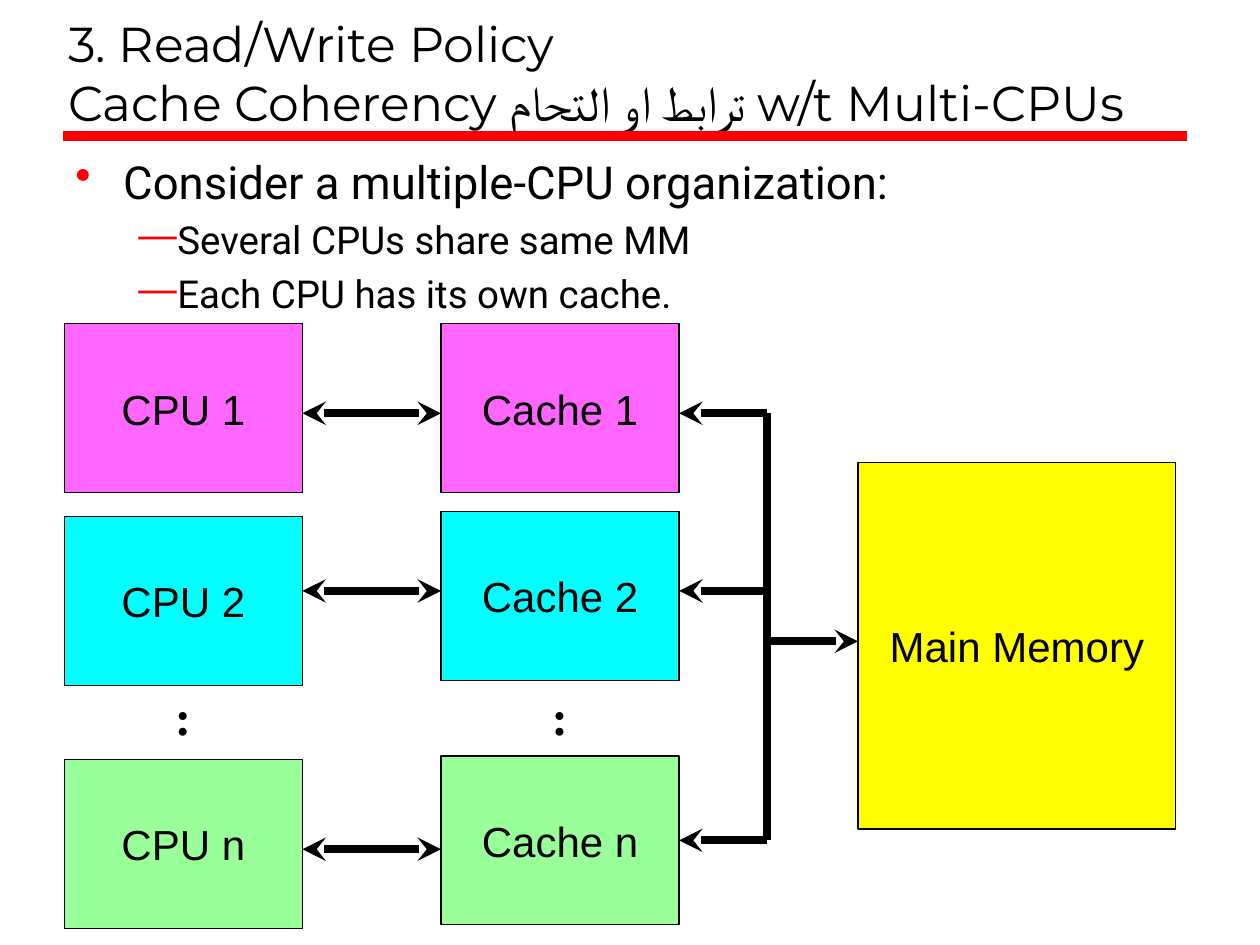
from lxml.etree import SubElement
from pptx import Presentation
from pptx.dml.color import RGBColor
from pptx.enum.shapes import MSO_CONNECTOR, MSO_SHAPE
from pptx.enum.text import MSO_ANCHOR, MSO_AUTO_SIZE, PP_ALIGN
from pptx.oxml.ns import qn
from pptx.util import Inches, Pt

COLORS = {
    "black": "000000",
    "red": "FF0000",
    "pink": "FF66FF",
    "cyan": "00FFFF",
    "green": "99FF99",
    "yellow": "FFFF00",
}


def color(name):
    return RGBColor.from_string(COLORS[name])


def write(paragraph, text, font="Arial", size=24, bold=False,
          align=PP_ALIGN.LEFT, before=0):
    paragraph.text = text
    paragraph.alignment = align
    paragraph.space_before = Pt(before)
    for run in paragraph.runs:
        run.font.name = font
        run.font.size = Pt(size)
        run.font.bold = bold
        run.font.color.rgb = color("black")


def add_bullet(paragraph, character, left, hanging):
    properties = paragraph._p.get_or_add_pPr()
    properties.set("marL", str(Inches(left)))
    properties.set("indent", str(-Inches(hanging)))
    bullet_color = SubElement(properties, qn("a:buClr"))
    SubElement(bullet_color, qn("a:srgbClr"), val=COLORS["red"])
    SubElement(properties, qn("a:buChar"), char=character)


class SlideBuilder:
    heading_font = "Montserrat"
    body_font = "Roboto"
    arrow_width = 4.5

    def __init__(self, presentation):
        self.slide = presentation.slides.add_slide(presentation.slide_layouts[5])

    def title(self, text, left, top, width, height):
        shape = self.slide.shapes.title
        shape.left, shape.top = Inches(left), Inches(top)
        shape.width, shape.height = Inches(width), Inches(height)
        frame = shape.text_frame
        frame.auto_size = MSO_AUTO_SIZE.NONE
        frame.vertical_anchor = MSO_ANCHOR.BOTTOM
        write(frame.paragraphs[0], text, font=self.heading_font, size=28)

    def text_box(self, left, top, width, height, wrap=True):
        shape = self.slide.shapes.add_textbox(
            Inches(left), Inches(top), Inches(width), Inches(height))
        shape.text_frame.word_wrap = wrap
        return shape.text_frame

    def bullets(self, items, left, top, width, height):
        frame = self.text_box(left, top, width, height)
        for index, (text, level) in enumerate(items):
            paragraph = frame.add_paragraph() if index else frame.paragraphs[0]
            paragraph.level = level
            write(paragraph, text, font=self.body_font,
                  size=22 if level else 26, before=4.5)
            if level:
                add_bullet(paragraph, "—", 0.81, 0.31)
            else:
                add_bullet(paragraph, "•", 0.38, 0.38)

    def dots(self, left, top):
        frame = self.text_box(left, top, 0.33, 0.57, wrap=False)
        write(frame.paragraphs[0], ":", font="Times New Roman", size=28, bold=True)

    def box(self, text, fill, left, top, width=1.89, height=1.34):
        shape = self.slide.shapes.add_shape(
            MSO_SHAPE.RECTANGLE, Inches(left), Inches(top),
            Inches(width), Inches(height))
        shape.shadow.inherit = False
        shape.fill.solid()
        shape.fill.fore_color.rgb = color(fill)
        shape.line.color.rgb = color("black")
        shape.line.width = Pt(0.75)
        shape.text_frame.vertical_anchor = MSO_ANCHOR.MIDDLE
        write(shape.text_frame.paragraphs[0], text, align=PP_ALIGN.CENTER)
        return shape

    def line(self, start, end, stroke="black", width=arrow_width, arrows=()):
        connector = self.slide.shapes.add_connector(
            MSO_CONNECTOR.STRAIGHT, Inches(start[0]), Inches(start[1]),
            Inches(end[0]), Inches(end[1]))
        connector.line.color.rgb = color(stroke)
        connector.line.width = Pt(width)
        for arrow in arrows:
            SubElement(connector.line._get_or_add_ln(), qn(f"a:{arrow}End"),
                       type="stealth")
        SubElement(connector._element.spPr, qn("a:effectLst"))
        return connector


def main():
    presentation = Presentation()
    presentation.slide_width, presentation.slide_height = Inches(10), Inches(7.5)
    builder = SlideBuilder(presentation)

    builder.line((0.5, 1.08), (9.42, 1.08), stroke="red", width=6)
    builder.title(
        "3. Read/Write Policy\vCache Coherency ترابط او التحام w/t Multi-CPUs",
        0.44, 0.17, 9.2, 0.92)

    cpu_left, cache_left, box_width = 0.51, 3.5, 1.89
    cpu_right, cache_right = cpu_left + box_width, cache_left + box_width
    bus_x, memory_left, memory_y = 6.09, 6.81, 5.09
    builder.box("Main Memory", "yellow", memory_left, 3.67, 2.52, 2.91)

    rows = [
        ("1", "pink", 2.57, 2.57, 3.28, 3.28),
        ("2", "cyan", 4.1, 4.06, 4.69, 4.69),
        ("n", "green", 6.03, 6, 6.74, 6.67),
    ]
    for name, fill, cpu_top, cache_top, link_y, bus_y in rows:
        builder.box(f"CPU {name}", fill, cpu_left, cpu_top)
        cache = builder.box(f"Cache {name}", fill, cache_left, cache_top)
        builder.line((cache_left, link_y), (cpu_right, link_y),
                     arrows=("head", "tail"))
        branch = builder.line((bus_x, bus_y), (cache_right, bus_y),
                              arrows=("tail",))
    branch.end_connect(cache, 3)

    for left in (cpu_left, cache_left):
        builder.dots(left + 0.78, 5.4)

    builder.line((memory_left, memory_y), (bus_x, memory_y), arrows=("head",))
    builder.line((bus_x, rows[0][-1]), (bus_x, rows[-1][-1]))

    builder.bullets([
        ("Consider a multiple-CPU organization:", 0),
        ("Several CPUs share same MM", 1),
        ("Each CPU has its own cache.", 1),
    ], 0.5, 1.17, 9.5, 6.17)

    presentation.save("out.pptx")


if __name__ == "__main__":
    main()
